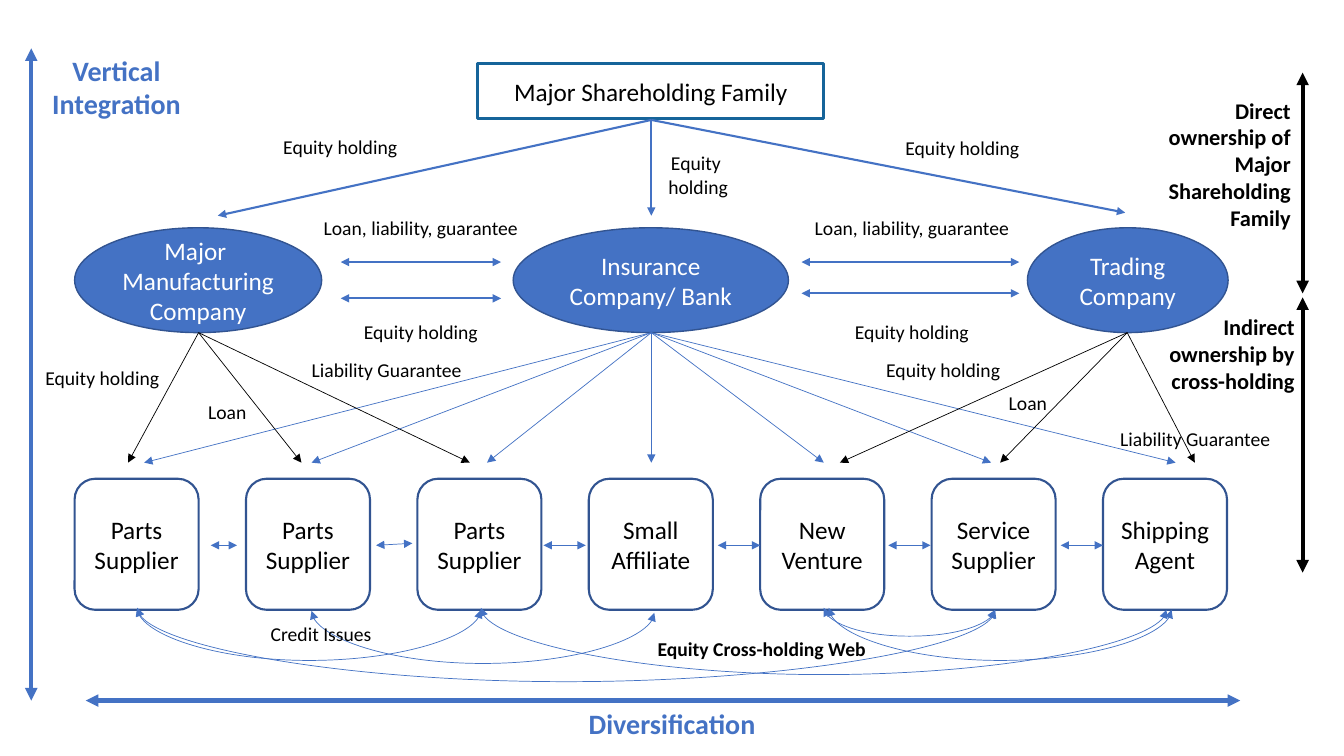
from lxml.etree import SubElement
from pptx import Presentation
from pptx.dml.color import RGBColor
from pptx.enum.shapes import MSO_CONNECTOR, MSO_SHAPE
from pptx.enum.text import MSO_ANCHOR, PP_ALIGN
from pptx.oxml.ns import qn
from pptx.util import Inches, Pt

COLORS = {
    "blue": "4472C4",
    "outline": "325491",
    "family": "16649A",
    "black": "000000",
    "white": "FFFFFF",
}

presentation = Presentation()
presentation.slide_width = Inches(13.33)
presentation.slide_height = Inches(7.5)
slide = presentation.slides.add_slide(presentation.slide_layouts[6])


def write(shape, text, size, color="black", bold=False, align=PP_ALIGN.CENTER, anchor=MSO_ANCHOR.MIDDLE):
    frame = shape.text_frame
    frame.text = text
    frame.word_wrap = True
    frame.vertical_anchor = anchor
    for paragraph in frame.paragraphs:
        paragraph.alignment = align
        for run in paragraph.runs:
            run.font.name = "Calibri"
            run.font.size = Pt(size)
            run.font.bold = bold
            run.font.color.rgb = RGBColor.from_string(COLORS[color])


def connect(start, end, width, color="blue", both_ends=False, kind=MSO_CONNECTOR.STRAIGHT):
    arrow = slide.shapes.add_connector(kind, *[Inches(value) for value in (*start, *end)])
    arrow.line.color.rgb = RGBColor.from_string(COLORS[color])
    arrow.line.width = Pt(width)
    properties = arrow.element.spPr
    line = properties.find(qn("a:ln"))
    if both_ends:
        SubElement(line, qn("a:headEnd"), type="triangle")
    SubElement(line, qn("a:tailEnd"), type="triangle")
    SubElement(properties, qn("a:effectLst"))
    return properties


supplier_names = [
    "Parts Supplier", "Parts Supplier", "Parts Supplier", "Small Affiliate",
    "New Venture", "Service Supplier", "Shipping Agent",
]
companies = [
    (MSO_SHAPE.RECTANGLE, 4.74, 0.63, 3.43, 0.55, "Major Shareholding Family", None, "family", 2),
    (MSO_SHAPE.OVAL, 0.74, 2.26, 2.45, 1.04, "Major \nManufacturing Company", "blue", "outline", 1),
    (MSO_SHAPE.OVAL, 5.09, 2.26, 2.73, 1.04, "Insurance Company/ Bank", "blue", "outline", 1),
    (MSO_SHAPE.OVAL, 10.19, 2.26, 1.99, 1.04, "Trading Company", "blue", "outline", 1),
]
for index, name in enumerate(supplier_names):
    companies.append(
        (MSO_SHAPE.ROUNDED_RECTANGLE, 0.74 + 1.7 * index, 4.75, 1.23, 1.3, name, None, "outline", 1.5)
    )

for preset, left, top, width, height, name, fill, outline, weight in companies:
    company = slide.shapes.add_shape(preset, Inches(left), Inches(top), Inches(width), Inches(height))
    company.shadow.inherit = False
    if fill:
        company.fill.solid()
        company.fill.fore_color.rgb = RGBColor.from_string(COLORS[fill])
    else:
        company.fill.background()
    company.line.color.rgb = RGBColor.from_string(COLORS[outline])
    company.line.width = Pt(weight)
    write(company, name, 18, "white" if fill else "black")

for start, end, levels in [(3.38, 4.97, (2.6, 2.96)), (7.95, 10.11, (2.6, 2.91))]:
    for level in levels:
        connect((start, level), (end, level), 1.5, both_ends=True)

for target in [(2.16, 2.14), (11.16, 2.11), (6.46, 2.14)]:
    connect((6.46, 1.19), target, 1.5)

holdings = [
    (6.46, "blue", [1.43, 3.09, 4.83, 6.46, 8.17, 9.83, 11.66]),
    (1.97, "black", [1.27, 2.99, 4.66]),
    (11.18, "black", [11.85, 8.33, 9.92]),
]
for owner, color, targets in holdings:
    for target in targets:
        connect((owner, 3.3), (target, 4.59), 0.5, color)

supplier_links = [
    (2.09, 2.35, 5.41), (3.73, 4.09, 5.39), (5.39, 5.81, 5.41),
    (7.12, 7.54, 5.41), (8.81, 9.23, 5.41), (10.52, 10.94, 5.41),
]
for start, end, end_level in supplier_links:
    connect((start, 5.41), (end, end_level), 0.5, both_ends=True)

axes = [
    ((12.92, 0.72), (12.92, 2.91), "black"),
    ((12.92, 2.95), (12.92, 5.68), "black"),
    ((0.85, 6.95), (12.3, 6.95), "blue"),
    ((0.31, 6.95), (0.31, 0.48), "blue"),
]
for start, end, color in axes:
    connect(start, end, 3, color, both_ends=True)

rise = 0.02
cross_holdings = [
    (1.36, 4.77, 6.03, 0.52), (3.09, 6.49, 6.06, 0.52), (8.22, 11.62, 6.03, 0.52),
    (8.17, 9.87, 6.03, 0.28), (1.36, 9.87, 6.03, 0.73), (4.77, 11.57, 6.03, 0.66),
]
for start, end, level, dip in cross_holdings:
    center_x, center_y, span = (start + end) / 2, level + rise / 2, end - start
    web = connect(
        (center_x - rise / 2, center_y - span / 2), (center_x + rise / 2, center_y + span / 2),
        0.5, both_ends=True, kind=MSO_CONNECTOR.CURVE,
    )
    transform = web.find(qn("a:xfrm"))
    transform.set("rot", "16200000")
    transform.set("flipH", "1")
    adjustments = web.find(qn("a:prstGeom")).find(qn("a:avLst"))
    SubElement(adjustments, qn("a:gd"), name="adj1", fmla=f"val {round(dip / rise * 100000)}")

relation_labels = [
    (2.46, 1.98, "Loan, liability, guarantee"),
    (2.46, 3.02, "Equity holding"),
    (7.33, 1.98, "Loan, liability, guarantee"),
    (7.33, 3.02, "Equity holding"),
    (7.83, 1.19, "Equity holding"),
    (5.21, 1.46, "Equity \nholding"),
    (1.66, 1.18, "Equity holding"),
    (-0.7, 3.47, "Equity holding"),
    (0.54, 3.81, "Loan"),
    (2.12, 3.39, "Liability Guarantee"),
    (7.64, 3.39, "Equity holding"),
    (8.48, 3.72, "Loan"),
    (10.14, 4.08, "Liability Guarantee"),
    (1.47, 6.01, "Credit Issues"),
    (5.84, 6.16, "Equity Cross-holding Web"),
]
for left, top, relation in relation_labels:
    label = slide.shapes.add_textbox(Inches(left), Inches(top), Inches(3.43), Inches(0.55))
    write(label, relation, 14, bold=relation.endswith("Web"))

axis_labels = [
    (11.27, 0.91, 1.63, 1.45, "Direct ownership of Major Shareholding Family", 16, "black", PP_ALIGN.RIGHT),
    (11.31, 3.06, 1.63, 0.91, "Indirect ownership by cross-holding", 16, "black", PP_ALIGN.RIGHT),
    (4.59, 6.96, 4.15, 0.44, "Diversification", 20, "blue", PP_ALIGN.CENTER),
    (0.06, 0.48, 2.19, 0.77, "Vertical Integration", 20, "blue", PP_ALIGN.CENTER),
]
for left, top, width, height, caption, size, color, align in axis_labels:
    label = slide.shapes.add_textbox(Inches(left), Inches(top), Inches(width), Inches(height))
    write(label, caption, size, color, True, align, MSO_ANCHOR.TOP)

presentation.save("out.pptx")
